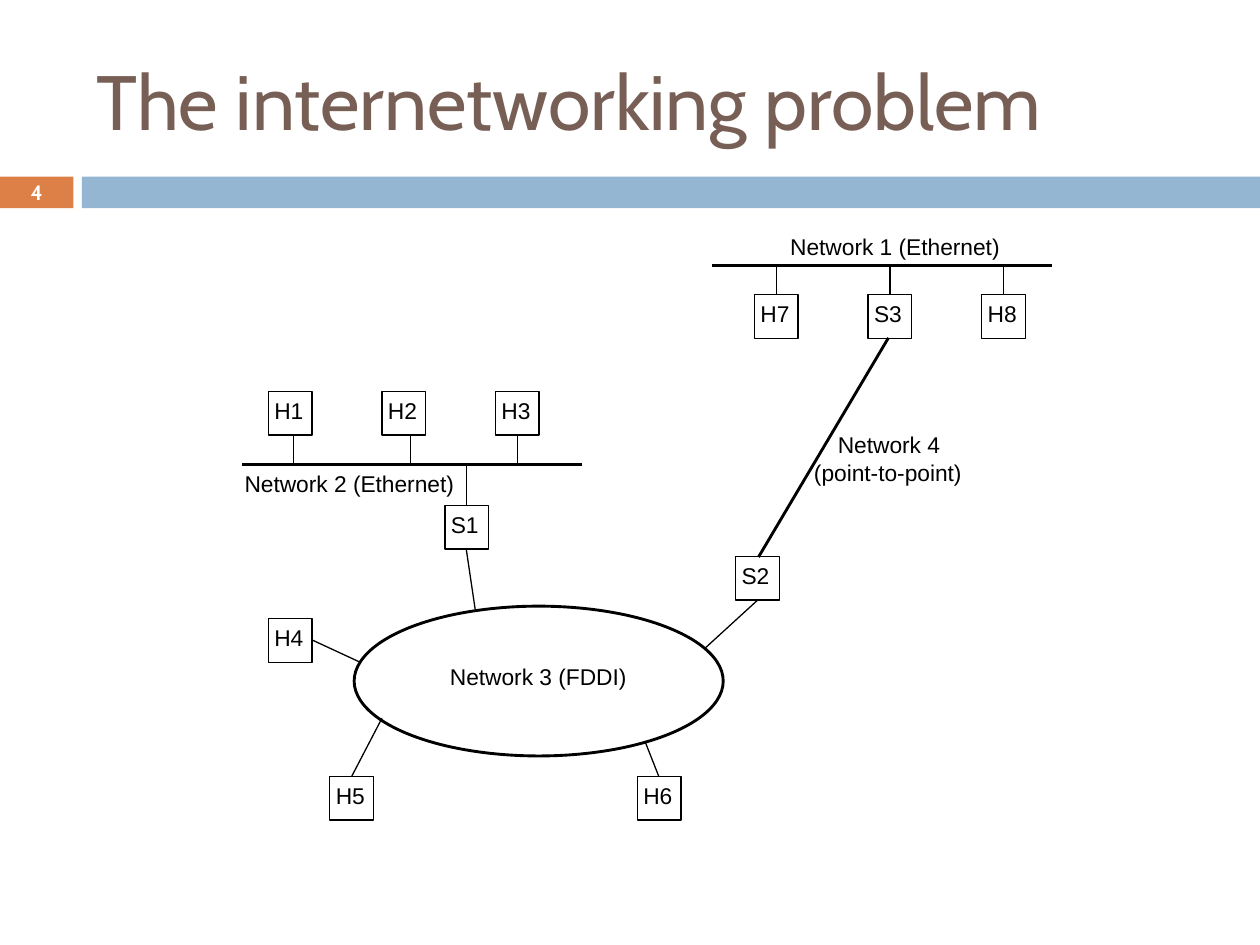
from lxml import etree
from pptx import Presentation
from pptx.dml.color import RGBColor
from pptx.enum.shapes import MSO_CONNECTOR as CONN, MSO_SHAPE as SHAPE
from pptx.enum.text import MSO_ANCHOR as ANCHOR, PP_ALIGN as ALIGN
from pptx.oxml.ns import qn
from pptx.util import Cm, Pt

COLORS = {"title": "775F55", "accent": "DD8047", "band": "94B6D2",
          "ink": "000000", "paper": "FFFFFF"}
BODY = {"size": Pt(13), "name": "Arial", "bold": False}
TITLE = {"size": Pt(44), "name": "Cabin", "bold": False}
NUMBER = {"size": Pt(11.9), "name": "Cabin", "bold": True}
THIN, THICK = 0.75, 1.63
NODE, PITCH = 0.88, 2.29


def color(key):
    """Return the named colour."""
    return RGBColor.from_string(COLORS[key])


def write(s, text, fmt, ink="ink", align=ALIGN.LEFT, anchor=ANCHOR.TOP,
          inset=(0, 0), wrap=False):
    """Write one formatted line into a shape."""
    tf = s.text_frame
    frame = {"word_wrap": wrap, "vertical_anchor": anchor,
             "margin_left": Cm(inset[0]), "margin_right": Cm(inset[0]),
             "margin_top": Cm(inset[1]), "margin_bottom": Cm(inset[1])}
    for name, value in frame.items():
        setattr(tf, name, value)
    p = tf.paragraphs[0]
    p.alignment = align
    r = p.add_run()
    r.text = text
    for name, value in fmt.items():
        setattr(r.font, name, value)
    r.font.color.rgb = color(ink)


def label(shapes, text, x, y, w, h=0.56, fmt=BODY, **style):
    """Place a line of text."""
    s = shapes.add_textbox(Cm(x), Cm(y), Cm(w), Cm(h))
    write(s, text, fmt, **style)


def shape(shapes, kind, x, y, w, h, fill=None, width=None):
    """Place a filled or outlined preset shape."""
    s = shapes.add_shape(kind, Cm(x), Cm(y), Cm(w), Cm(h))
    s.shadow.inherit = False
    if fill:
        s.fill.solid()
        s.fill.fore_color.rgb = color(fill)
    else:
        s.fill.background()
    if width:
        s.line.color.rgb = color("ink")
        s.line.width = Pt(width)
    else:
        s.line.fill.background()
    return s


def link(shapes, x1, y1, x2, y2, width=THIN):
    """Draw a straight line between two points."""
    s = shapes.add_connector(CONN.STRAIGHT, Cm(x1), Cm(y1), Cm(x2), Cm(y2))
    s.line.color.rgb = color("ink")
    s.line.width = Pt(width)
    etree.SubElement(s._element.spPr, qn("a:effectLst"))


def node(shapes, name, x, y):
    """Place a named host or switch box."""
    s = shape(shapes, SHAPE.RECTANGLE, x, y, NODE, NODE, width=THIN)
    write(s, name, BODY, inset=(0.12, 0.1))


def header(shapes, x, y, w, title, number):
    """Build the title, the band and the slide number."""
    label(shapes, title, x + 1.7, y + 0.64, 22.65, 2.74, TITLE, ink="title",
          anchor=ANCHOR.MIDDLE, inset=(0.25, 0.13), wrap=True)
    shape(shapes, SHAPE.RECTANGLE, x, y + 3.56, 1.48, 0.64, "accent")
    shape(shapes, SHAPE.RECTANGLE, x + 1.65, y + 3.56, w - 1.65, 0.64, "band")
    label(shapes, number, x, y + 3.53, 1.48, 0.69, NUMBER, ink="paper",
          align=ALIGN.CENTER, anchor=ANCHOR.MIDDLE, wrap=True)


def ethernet(shapes, x, y, w, names, first, node_dy, stubs, text, text_at):
    """Build a bus with its hosts; offsets are from the bus's left end."""
    edge = node_dy if node_dy > 0 else node_dy + NODE
    for i, (name, stub) in enumerate(zip(names, stubs)):
        node_x = x + first + i * PITCH
        node(shapes, name, node_x, y + node_dy)
        link(shapes, node_x + stub, y + edge, node_x + stub, y)
    link(shapes, x, y, x + w, y, THICK)
    label(shapes, text, x + text_at[0], y + text_at[1], 4.24)


def ring(shapes, x, y, w, h):
    """Build the ring with its stations, relative to the ring's box."""
    stations = [
        ("S1", 1.83, -2.03, (2.26, -1.15, 2.44, 0.07)),
        ("S2", 7.69, -1.0, (8.13, -0.12, 7.08, 0.84)),
        ("H4", -1.73, 0.25, (-0.85, 0.68, 0.1, 1.12)),
        ("H5", -0.49, 3.43, (-0.05, 3.43, 0.56, 2.26)),
        ("H6", 5.71, 3.43, (6.14, 3.43, 5.86, 2.72)),
    ]
    shape(shapes, SHAPE.OVAL, x, y, w, h, width=THICK)
    for name, dx, dy, (x1, y1, x2, y2) in stations:
        node(shapes, name, x + dx, y + dy)
        link(shapes, x + x1, y + y1, x + x2, y + y2)
    label(shapes, "Network 3 (FDDI)", x + 1.93, y + 1.14, 3.58)


def point_to_point(shapes, x, y, w, h):
    """Build the link along its box's diagonal, with its label."""
    link(shapes, x + w, y, x, y + h, THICK)
    label(shapes, "Network 4", x + 1.6, y + 1.88, 2.06)
    label(shapes, "(point-to-point)", x + 1.12, y + 2.44, 3)


prs = Presentation()
prs.slide_width, prs.slide_height = Cm(25.4), Cm(19.05)
shapes = prs.slides.add_slide(prs.slide_layouts[6]).shapes
header(shapes, 0, 0, 25.4, "The internetworking problem", "4")
ethernet(shapes, 14.35, 5.36, 6.86, ("H7", "S3", "H8"), 0.86, 0.58,
         (0.44, 0.44, 0.44), "Network 1 (Ethernet)", (1.58, -0.66))
ethernet(shapes, 4.88, 9.37, 6.86, ("H1", "H2", "H3"), 0.53, -1.48,
         (0.51, 0.57, 0.44), "Network 2 (Ethernet)", (0.05, 0.1))
link(shapes, 9.4, 9.37, 9.4, 10.19)
ring(shapes, 7.14, 12.22, 7.44, 3.02)
point_to_point(shapes, 15.29, 6.81, 2.62, 4.42)
prs.save("out.pptx")
